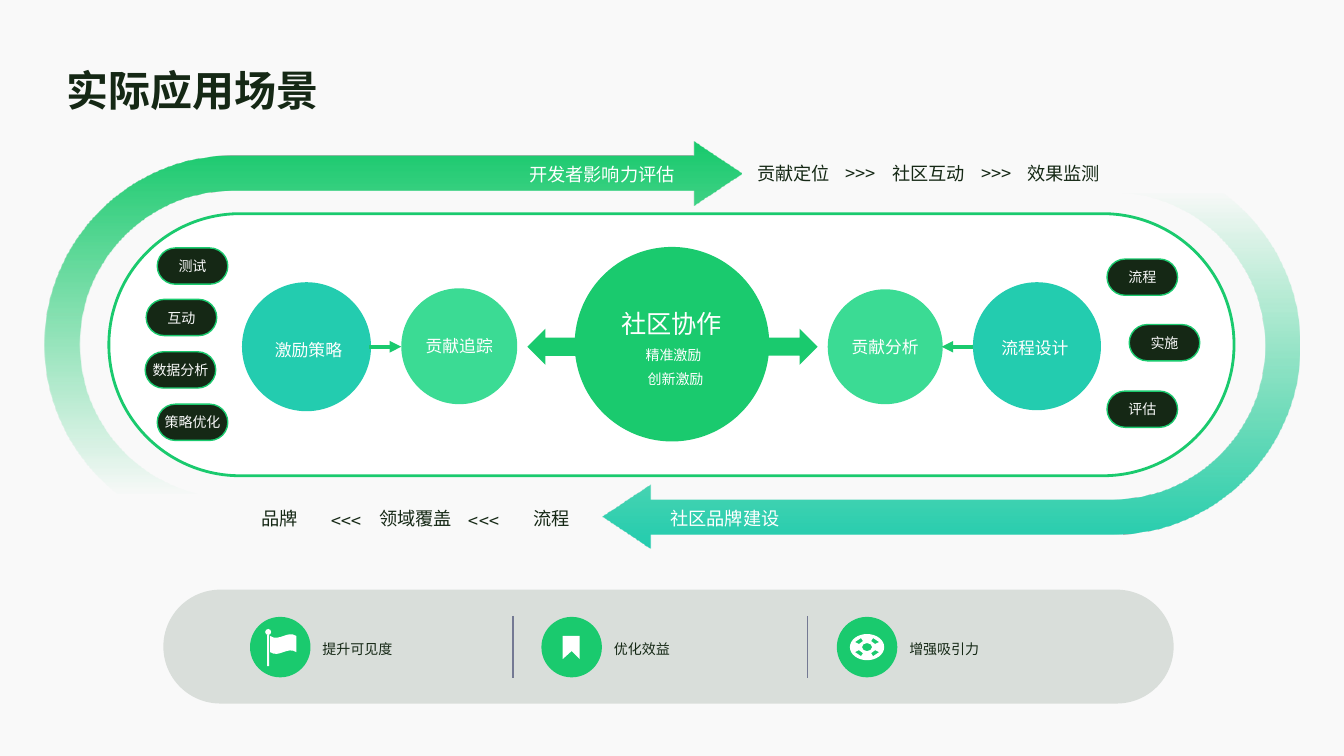
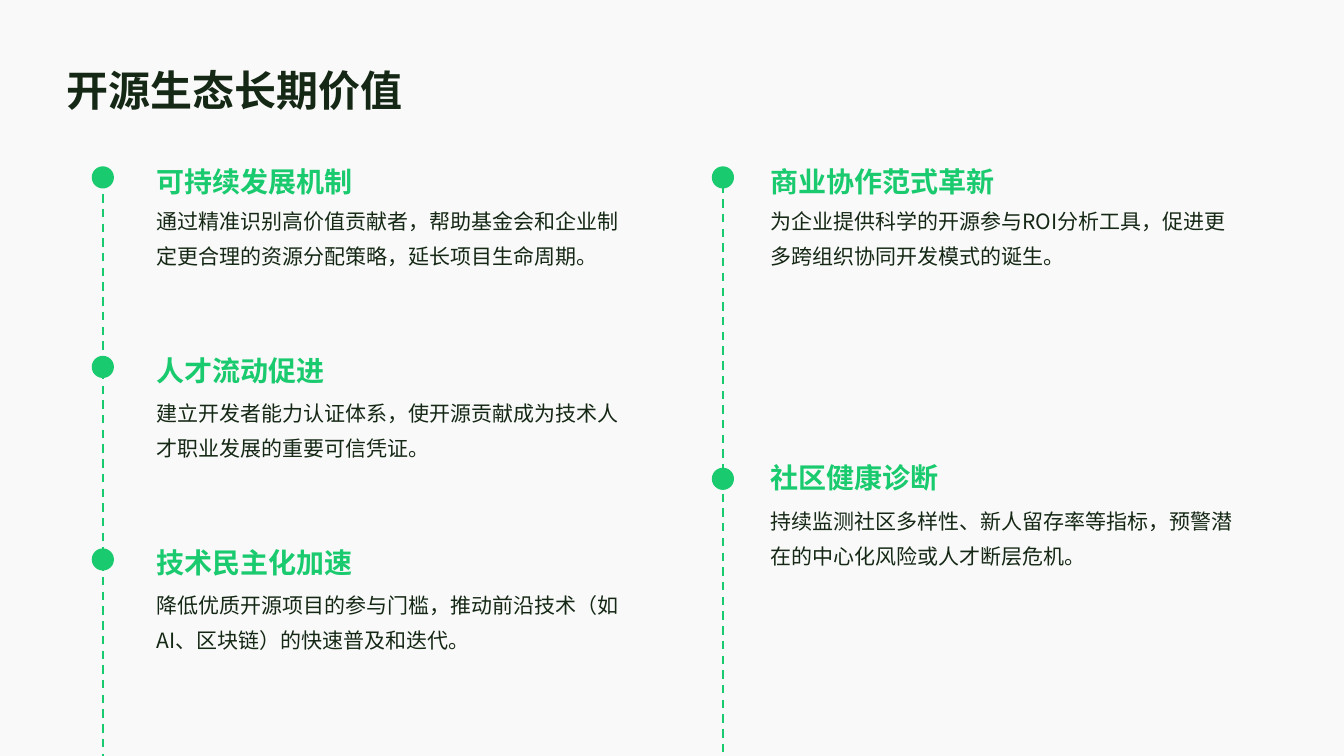
from dataclasses import dataclass
from itertools import product
from typing import NamedTuple

from lxml.etree import SubElement
from pptx import Presentation
from pptx.dml.color import RGBColor
from pptx.enum.dml import MSO_LINE
from pptx.enum.shapes import MSO_CONNECTOR, MSO_SHAPE as Preset
from pptx.enum.text import MSO_ANCHOR as Anchor, MSO_AUTO_SIZE, PP_ALIGN as Align
from pptx.oxml.ns import qn
from pptx.util import Emu, Pt

EMU_PER_PX = 9144  # 100 px to the inch
WIDTH, HEIGHT = 1333, 750
ROUND = 0.55  # pull of a quarter turn towards its corner


@dataclass(frozen=True)
class Theme:
    font: str = "Noto Sans CJK SC"
    page: str = "F9F9F9"
    white: str = "FFFFFF"
    ink: str = "152815"
    green: str = "1ACA6E"
    mint: str = "3BDB94"
    teal: str = "23CCAF"
    band: str = "D9DEDA"
    divider: str = "747993"
    title: int = 30
    heading: int = 20
    hub: int = 18
    body: int = 15
    label: int = 13
    node: int = 12
    small: int = 10


THEME = Theme()


class Area(NamedTuple):
    left: int
    top: int
    width: int
    height: int


class Point(NamedTuple):
    x: float
    y: float


class Curve(NamedTuple):
    first: Point
    second: Point
    end: Point


class Insets(NamedTuple):
    left: int = 0
    top: int = 0
    right: int = 0
    bottom: int = 0


class Label(NamedTuple):
    text: str
    area: Area
    size: int = THEME.label
    color: str = THEME.ink
    align: Align = Align.CENTER
    spacing: float = 1.0
    rotation: int = 0


class Node(NamedTuple):
    text: str
    left: int
    top: int
    diameter: int
    fill: str
    insets: Insets


class Stop(NamedTuple):
    position: float
    color: str
    opacity: int


class Entry(NamedTuple):
    heading: str
    text: str
    heading_top: int
    body_top: int
    dot_top: int


class Track(NamedTuple):
    axis: int
    line_top: int
    text_left: int
    entries: list[Entry]


Contour = list[Point | Curve]


# Helpers
def px(value: float) -> Emu:
    return Emu(round(value * EMU_PER_PX))


def rgb(color: str) -> RGBColor:
    return RGBColor.from_string(color)


def write_text(frame, text: str, *, size: int, color: str = THEME.ink, bold: bool = False,
               align: Align = Align.LEFT, spacing: float = 1.0, before: float = 0,
               anchor: Anchor = Anchor.TOP, insets: Insets = Insets(), wrap: bool = True) -> None:
    frame.word_wrap = wrap
    frame.auto_size = MSO_AUTO_SIZE.NONE
    frame.vertical_anchor = anchor
    frame.margin_left, frame.margin_top, frame.margin_right, frame.margin_bottom = map(px, insets)
    para = frame.paragraphs[0]
    para.alignment = align
    para.line_spacing = spacing
    para.space_before = Pt(before)
    span = para.add_run()
    span.text = text
    span.font.size = Pt(size)
    span.font.bold = bold
    span.font.color.rgb = rgb(color)
    span.font.name = THEME.font
    SubElement(span.font._element, qn("a:ea"), typeface=THEME.font)


def add_text(page, text: str, area: Area, *, rotation: int = 0, **text_format) -> None:
    box = page.shapes.add_textbox(*map(px, area))
    box.rotation = rotation
    write_text(box.text_frame, text, **text_format)


def add_preset(page, preset: Preset, area: Area, fill: str, *, line: str | None = None,
               line_width: float = 1, rotation: int = 0):
    shape = page.shapes.add_shape(preset, *map(px, area))
    shape.shadow.inherit = False
    shape.rotation = rotation
    shape.fill.solid()
    shape.fill.fore_color.rgb = rgb(fill)
    if line:
        shape.line.color.rgb = rgb(line)
        shape.line.width = Pt(line_width)
    else:
        shape.line.fill.background()
    if preset == Preset.ROUNDED_RECTANGLE:
        shape.adjustments[0] = 0.5
    return shape


def add_line(page, start: Point, end: Point, *, width: float, dashed: bool = False, arrow: bool = False) -> None:
    line = page.shapes.add_connector(MSO_CONNECTOR.STRAIGHT, *map(px, (*start, *end)))
    line.line.color.rgb = rgb(THEME.green)
    line.line.width = Pt(width)
    if dashed:
        line.line.dash_style = MSO_LINE.DASH
    if arrow:
        SubElement(line.get_or_add_ln(), qn("a:tailEnd"), type="triangle")
    SubElement(line.element.spPr, qn("a:effectLst"))


def add_outline(page, contours: list[Contour], *, fill: str | None = None, line: str | None = None):
    start = contours[0][0]
    builder = page.shapes.build_freeform(px(start.x), px(start.y), scale=1.0)
    for index, contour in enumerate(contours):
        if index:
            builder.move_to(*map(px, contour[0]))
        points = [point for item in contour[1:] for point in (item if isinstance(item, Curve) else (item,))]
        builder.add_line_segments([(px(x), px(y)) for x, y in points], close=line is None)
    shape = builder.convert_to_shape()
    # Each curve was laid down as three segments: merge them into one
    segments = iter(list(shape.element.iter(qn("a:lnTo"))))
    for item in (item for contour in contours for item in contour[1:]):
        segment = next(segments)
        if isinstance(item, Curve):
            segment.tag = qn("a:cubicBezTo")
            for _ in range(2):
                extra = next(segments)
                segment.append(extra[0])
                extra.getparent().remove(extra)
    shape.shadow.inherit = False
    if line:
        shape.line.color.rgb = rgb(line)
        shape.line.width = Pt(1)
    else:
        shape.line.fill.background()
    if fill:
        shape.fill.solid()
        shape.fill.fore_color.rgb = rgb(fill)
    else:
        shape.fill.background()
    return shape


def fade_down(shape, stops: tuple[Stop, Stop]) -> None:
    shape.fill.gradient()
    shape.fill.gradient_angle = 270
    for target, stop in zip(shape.fill.gradient_stops, stops):
        target.position = stop.position
        target.color.rgb = rgb(stop.color)
    gradient = shape.element.spPr.find(qn("a:gradFill"))
    for color, stop in zip(gradient.iter(qn("a:srgbClr")), stops):
        SubElement(color, qn("a:alpha"), val=str(stop.opacity * 1000))


def quarter(start: Point, corner: Point, end: Point) -> Curve:
    first, second = (Point(p.x + (corner.x - p.x) * ROUND, p.y + (corner.y - p.y) * ROUND) for p in (start, end))
    return Curve(first, second, end)


def turn(stops: list[Point], corners: list[Point]) -> Contour:
    return [stops[0], *map(quarter, stops, corners, stops[1:])]


def oval(center: Point, rx: int, ry: int) -> Contour:
    x, y = center
    stops = [Point(x - rx, y), Point(x, y - ry), Point(x + rx, y), Point(x, y + ry), Point(x - rx, y)]
    corners = [Point(x - rx, y - ry), Point(x + rx, y - ry), Point(x + rx, y + ry), Point(x - rx, y + ry)]
    return turn(stops, corners)


def bend(x: int, start_y: int, end_y: int, reach: int) -> Contour:
    return turn([Point(x, start_y), Point(reach, (start_y + end_y) / 2), Point(x, end_y)],
                [Point(reach, start_y), Point(reach, end_y)])


def reflect(item: Point | Curve) -> Point | Curve:
    if isinstance(item, Curve):
        return Curve(*map(reflect, item))
    return Point(WIDTH - item.x, 684 - item.y)


def add_page(deck, title: str):
    page = deck.slides.add_slide(deck.slide_layouts[5])
    box = page.shapes.title
    box.left, box.top, box.width, box.height = map(px, Area(52, 29, 1229, 100))
    write_text(box.text_frame, title, size=THEME.title, bold=True, spacing=1.4,
               anchor=Anchor.MIDDLE, insets=Insets(14, 14, 6, 14))
    return page


# Scenario page
NODES = [
    Node("激励策略", 240, 280, 128, THEME.teal, Insets(left=4, top=2)),
    Node("贡献追踪", 398, 286, 115, THEME.mint, Insets(bottom=4)),
    Node("贡献分析", 821, 287, 114, THEME.mint, Insets(bottom=4)),
    Node("流程设计", 965, 280, 127, THEME.teal, Insets(right=4)),
]
PILLS = [("测试", 156, 246), ("互动", 145, 297), ("数据分析", 144, 349), ("策略优化", 156, 401),
         ("流程", 1098, 257), ("实施", 1120, 322), ("评估", 1098, 388)]
LABELS = [
    *(Label(text, Area(734 + 134 * i, 161, 106, 24))
      for i, text in enumerate(("贡献定位", "社区互动", "效果监测"))),
    *(Label(">>>", Area(826 + 135 * i, 161, 55, 24)) for i in range(2)),
    *(Label(text, Area(214 + 135 * i, 503, 126, 24))
      for i, text in enumerate(("品牌", "领域覆盖", "流程"))),
    *(Label(">>>", Area(310 + 136 * i, 504, 68, 24), rotation=180) for i in range(2)),
    Label("开发者影响力评估", Area(294, 158, 375, 27), color=THEME.white, align=Align.RIGHT, spacing=1.2),
    Label("社区品牌建设", Area(665, 499, 444, 27), color=THEME.white, align=Align.LEFT, spacing=1.2),
    Label("社区协作", Area(583, 300, 166, 35), THEME.hub, THEME.white, spacing=1.2),
    Label("精准激励", Area(576, 340, 184, 21), THEME.small, THEME.white, spacing=1.2),
    Label("创新激励", Area(576, 364, 188, 21), THEME.small, THEME.white, spacing=1.2),
]
BENEFITS = [("提升可见度", 248), ("优化效益", 537), ("增强吸引力", 830)]


def add_loop_arrows(page) -> None:
    lower = [Point(646, 544), Point(598, 512), Point(646, 480), Point(646, 495),
             *bend(1103, 495, 191, 1254), *bend(1103, 155, 530, 1289), Point(646, 530)]
    fade_down(add_outline(page, [lower]), (Stop(0.09, THEME.green, 0), Stop(1, THEME.teal, 100)))
    upper = [reflect(item) for item in lower]
    fade_down(add_outline(page, [upper]), (Stop(0.01, THEME.green, 100), Stop(0.9, THEME.green, 0)))


def add_icons(page) -> None:
    # Flag: waving cloth, pole and knob
    cloth = [Point(294, 631), Point(294, 647), Curve(Point(285, 641), Point(277, 653), Point(268, 647)),
             Point(268, 631), Curve(Point(277, 637), Point(285, 625), Point(294, 631))]
    pole = [Point(265, 630), Point(267, 630), Point(267, 661), Point(265, 661)]
    add_outline(page, [cloth, pole, oval(Point(266, 627), 3, 3)], fill=THEME.white)
    # Bookmark
    add_outline(page, [[Point(567, 646), Point(558, 654), Point(558, 631),
                        Point(575, 631), Point(575, 654)]], fill=THEME.white)
    # Reel: disc with a hub hole and four mirrored slots
    hub = Point(860, 642)
    slots = [[Point(hub.x + side * x, hub.y + end * y) for x, y in ((12, 5), (6, 9), (4, 6), (8, 3))]
             for side, end in product((-1, 1), repeat=2)]
    add_outline(page, [oval(hub, 17, 13), oval(hub, 5, 4), *slots], fill=THEME.white)


def build_scenario(deck) -> None:
    page = add_page(deck, "实际应用场景")
    add_loop_arrows(page)
    add_preset(page, Preset.ROUNDED_RECTANGLE, Area(108, 212, 1116, 260), THEME.white,
               line=THEME.green, line_width=2)
    # Flow of circles around the hub
    for node in NODES:
        circle = add_preset(page, Preset.OVAL, Area(node.left, node.top, node.diameter, node.diameter), node.fill)
        write_text(circle.text_frame, node.text, size=THEME.node, color=THEME.white, align=Align.CENTER,
                   spacing=1.2, anchor=Anchor.MIDDLE, insets=node.insets, wrap=False)
    for start, end in ((366, 398), (965, 934)):
        add_line(page, Point(start, 344), Point(end, 344), width=2.75, arrow=True)
    add_preset(page, Preset.OVAL, Area(570, 245, 193, 193), THEME.green)
    for left, rotation in ((760, 0), (523, 180)):
        add_preset(page, Preset.RIGHT_ARROW, Area(left, 326, 51, 36), THEME.green, rotation=rotation)
    for text, left, top in PILLS:
        pill = add_preset(page, Preset.ROUNDED_RECTANGLE, Area(left, top, 70, 36), THEME.ink, line=THEME.green)
        write_text(pill.text_frame, text, size=THEME.small, color=THEME.page, align=Align.CENTER,
                   anchor=Anchor.MIDDLE, wrap=False)
    for text, area, *text_format in LABELS:
        add_text(page, text, area, **dict(zip(Label._fields[2:], text_format)))
    # Benefit band
    add_preset(page, Preset.ROUNDED_RECTANGLE, Area(162, 585, 1002, 113), THEME.band)
    for text, left in BENEFITS:
        add_preset(page, Preset.OVAL, Area(left, 612, 60, 60), THEME.green)
        add_text(page, text, Area(left + 62, 609, 178, 67), size=THEME.small, spacing=1.1,
                 anchor=Anchor.MIDDLE, insets=Insets(10, 5, 10, 5))
    for x in (509, 801):
        add_outline(page, [[Point(x - 11, 611)], [Point(x, 611), Point(x, 673)]], line=THEME.divider)
    add_icons(page)


# Long-term value page
TRACKS = [
    Track(102, 178, 141, [
        Entry("可持续发展机制", "通过精准识别高价值贡献者，帮助基金会和企业制定更合理的资源分配策略，延长项目生命周期。",
              144, 197, 165),
        Entry("人才流动促进", "建立开发者能力认证体系，使开源贡献成为技术人才职业发展的重要可信凭证。", 331, 387, 353),
        Entry("技术民主化加速", "降低优质开源项目的参与门槛，推动前沿技术（如AI、区块链）的快速普及和迭代。", 522, 578, 544),
    ]),
    Track(717, 183, 750, [
        Entry("商业协作范式革新", "为企业提供科学的开源参与ROI分析工具，促进更多跨组织协同开发模式的诞生。", 144, 197, 165),
        Entry("社区健康诊断", "持续监测社区多样性、新人留存率等指标，预警潜在的中心化风险或人才断层危机。", 437, 494, 464),
    ]),
]


def build_value(deck) -> None:
    page = add_page(deck, "开源生态长期价值")
    for track in TRACKS:
        for entry in track.entries:
            add_preset(page, Preset.OVAL, Area(track.axis - 11, entry.dot_top, 22, 22), THEME.green)
            add_text(page, entry.heading, Area(track.text_left, entry.heading_top, 491, 66),
                     size=THEME.heading, color=THEME.green, bold=True, spacing=1.2, before=4.5,
                     anchor=Anchor.MIDDLE, insets=Insets(14, 14, 6, 14))
            add_text(page, entry.text, Area(track.text_left, entry.body_top, 491, 126),
                     size=THEME.body, spacing=1.4, insets=Insets(14, 0, 6, 0))
        add_line(page, Point(track.axis, track.line_top), Point(track.axis, HEIGHT), width=1.5, dashed=True)


def main() -> None:
    deck = Presentation()
    deck.slide_width, deck.slide_height = px(WIDTH), px(HEIGHT)
    backdrop = deck.slide_master.background.fill
    backdrop.solid()
    backdrop.fore_color.rgb = rgb(THEME.page)
    build_scenario(deck)
    build_value(deck)
    deck.save("out.pptx")


if __name__ == "__main__":
    main()
